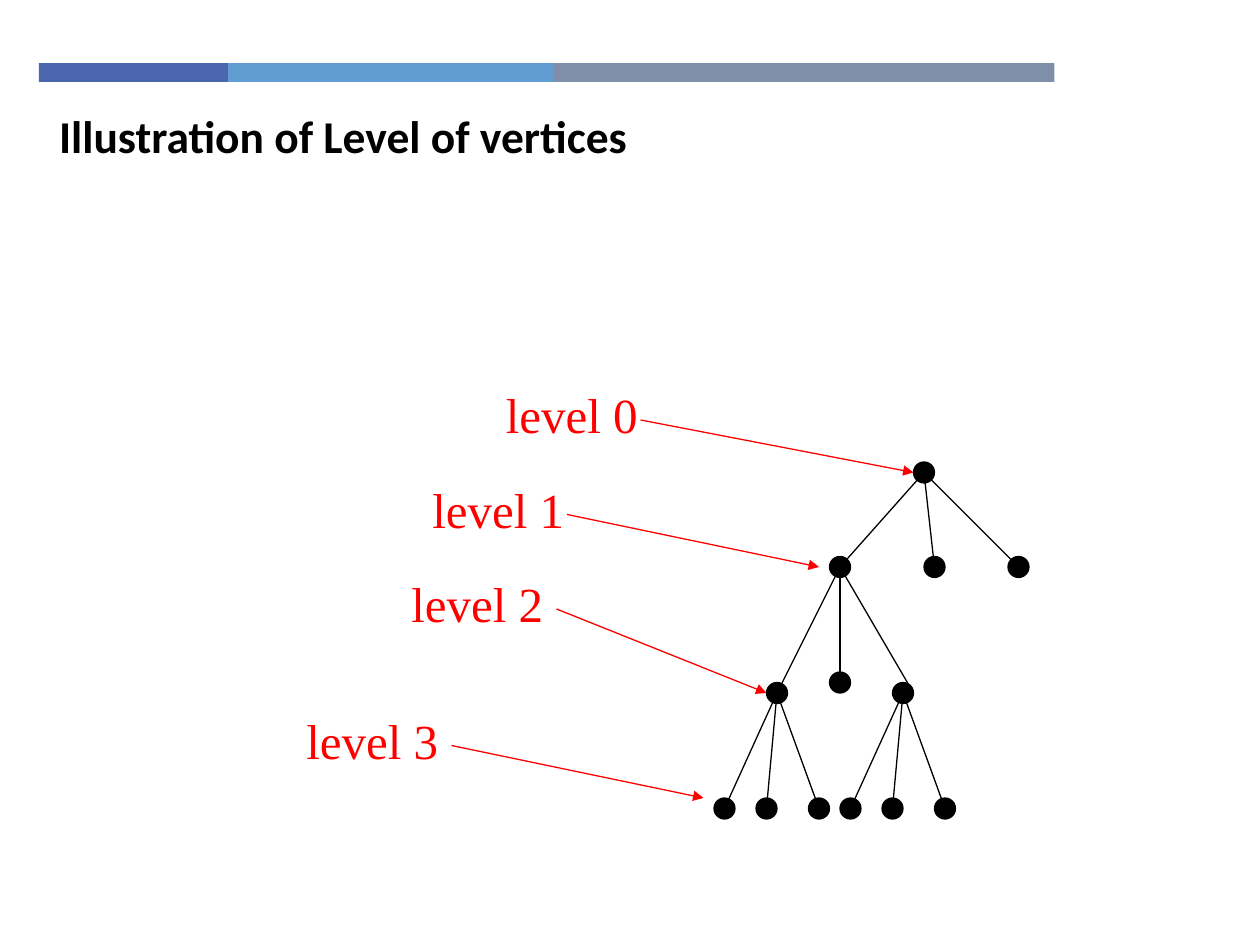
import dataclasses

import lxml.etree
import pptx
import pptx.dml.color
import pptx.enum.shapes
import pptx.enum.text
import pptx.oxml.ns
import pptx.util

Pt = pptx.util.Pt
RGB = pptx.dml.color.RGBColor.from_string
SHAPE = pptx.enum.shapes.MSO_SHAPE
ANCHOR = pptx.enum.text.MSO_ANCHOR


@dataclasses.dataclass(frozen=True)
class Theme:
    title_font: str = "Calibri"
    label_font: str = "Times New Roman"
    title_size: float = 26
    label_size: float = 28
    ink: str = "000000"
    accent: str = "FF0000"
    bars: tuple = ("4A66AC", "629DD1", "7F8FA9")
    line_width: float = 0.75
    vertex_radius: float = 6


class Deck:
    def __init__(self, prs, theme):
        self.theme = theme
        self.s = prs.slides.add_slide(prs.slide_layouts[5])

    def format_text(self, tf, font, size, color, bold, anchor):
        tf.word_wrap = True
        tf.auto_size = pptx.enum.text.MSO_AUTO_SIZE.NONE
        tf.vertical_anchor = anchor
        p = tf.paragraphs[0]
        p.alignment = pptx.enum.text.PP_ALIGN.LEFT
        r = p.runs[0]
        r.font.name = font
        r.font.size = Pt(size)
        r.font.bold = bold
        r.font.color.rgb = RGB(color)

    def title(self, text, x, y, w, h):
        sp = self.s.shapes.title
        sp.left, sp.top, sp.width, sp.height = Pt(x), Pt(y), Pt(w), Pt(h)
        sp.text_frame.text = text
        t = self.theme
        self.format_text(sp.text_frame, t.title_font, t.title_size, t.ink, True, ANCHOR.MIDDLE)

    def label(self, text, x, y, w, h):
        sp = self.s.shapes.add_textbox(Pt(x), Pt(y), Pt(w), Pt(h))
        sp.text_frame.text = text
        t = self.theme
        self.format_text(sp.text_frame, t.label_font, t.label_size, t.accent, False, ANCHOR.BOTTOM)

    def shape(self, kind, x, y, w, h, color):
        sp = self.s.shapes.add_shape(kind, Pt(x), Pt(y), Pt(w), Pt(h))
        sp.shadow.inherit = False
        sp.fill.solid()
        sp.fill.fore_color.rgb = RGB(color)
        return sp

    def bar(self, x, y, w, h, color):
        self.shape(SHAPE.RECTANGLE, x, y, w, h, color).line.fill.background()

    def vertex(self, x, y):
        t = self.theme
        d = 2 * t.vertex_radius
        sp = self.shape(SHAPE.OVAL, x - d / 2, y - d / 2, d, d, t.ink)
        sp.line.color.rgb = RGB(t.ink)
        sp.line.width = Pt(t.line_width)

    def line(self, start, end, color):
        kind = pptx.enum.shapes.MSO_CONNECTOR.STRAIGHT
        sp = self.s.shapes.add_connector(kind, *map(Pt, start + end))
        sp.line.color.rgb = RGB(color)
        sp.line.width = Pt(self.theme.line_width)
        lxml.etree.SubElement(sp._element.spPr, pptx.oxml.ns.qn("a:effectLst"))
        return sp

    def edge(self, start, end):
        self.line(start, end, self.theme.ink)

    def arrow(self, start, end):
        sp = self.line(start, end, self.theme.accent)
        ln = sp.line._get_or_add_ln()
        lxml.etree.SubElement(ln, pptx.oxml.ns.qn("a:tailEnd"), type="triangle")


VERTICES = {
    "root": (528, 270),
    "a": (480, 324), "b": (534, 324), "c": (582, 324),
    "aa": (444, 396), "ab": (480, 390), "ac": (516, 396),
    "aaa": (414, 462), "aab": (438, 462), "aac": (468, 462),
    "aca": (486, 462), "acb": (510, 462), "acc": (540, 462),
}
CHILDREN = {
    "root": ("a", "b", "c"),
    "a": ("aa", "ab", "ac"),
    "aa": ("aaa", "aab", "aac"),
    "ac": ("aca", "acb", "acc"),
}
EDGE_ENDS = {"ac": (522, 396)}
LEVELS = [
    (282, 216, 132, 366, (522, 270)),
    (240, 270, 132, 324, (468, 324)),
    (228, 324, 132, 318, (438, 396)),
    (168, 402, 102, 258, (402, 456)),
]


def main():
    prs = pptx.Presentation()
    prs.slide_width, prs.slide_height = Pt(720), Pt(540)
    theme = Theme()
    deck = Deck(prs, theme)

    x = 22.3
    for w, color in zip((108, 185.8, 286.5), theme.bars):
        deck.bar(x, 36, w, 10.8, color)
        x += w

    deck.title("Illustration of Level of vertices", 26.6, 57.6, 515.5, 38.9)

    for parent, children in CHILDREN.items():
        for child in children:
            deck.edge(VERTICES[parent], EDGE_ENDS.get(child, VERTICES[child]))
    for center in VERTICES.values():
        deck.vertex(*center)

    for level, (x, y, w, arrow_x, target) in enumerate(LEVELS):
        deck.label(f"level {level}", x, y, w, 41)
        deck.arrow((arrow_x, y + 24), target)

    prs.save("out.pptx")


if __name__ == "__main__":
    main()
